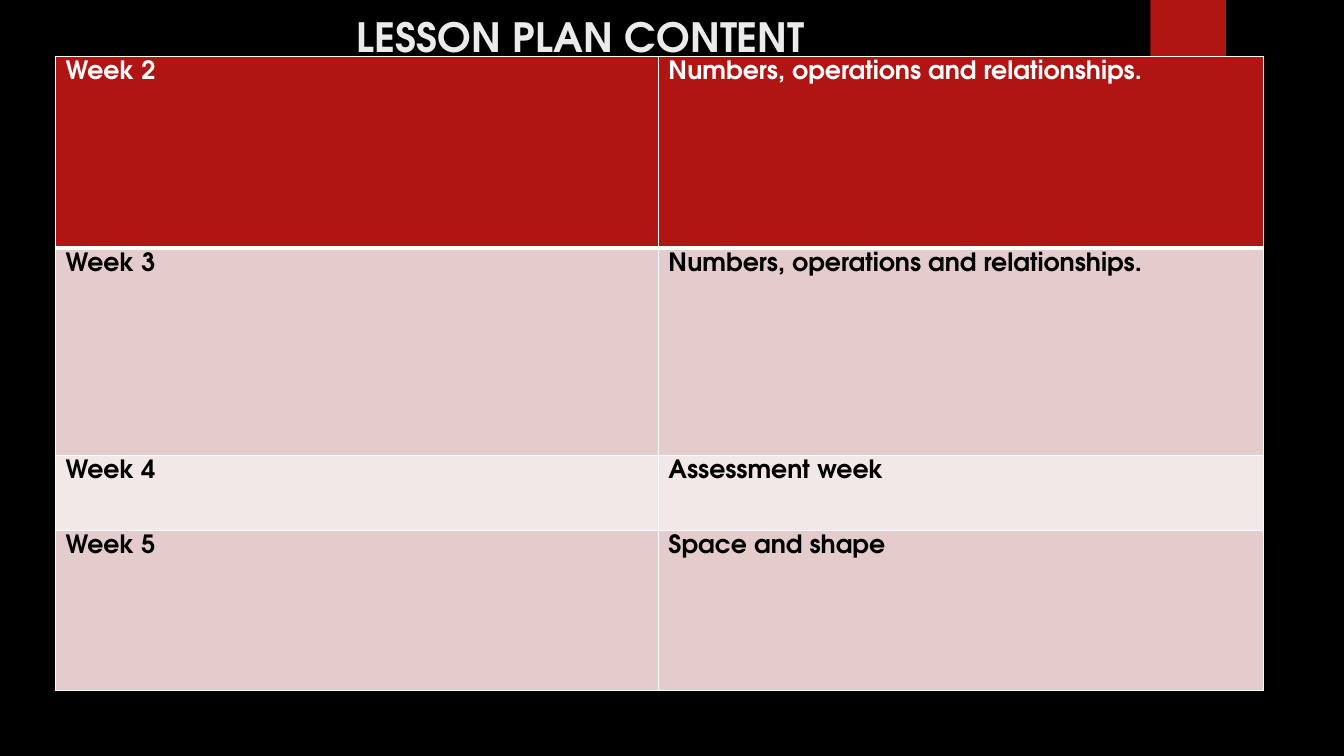
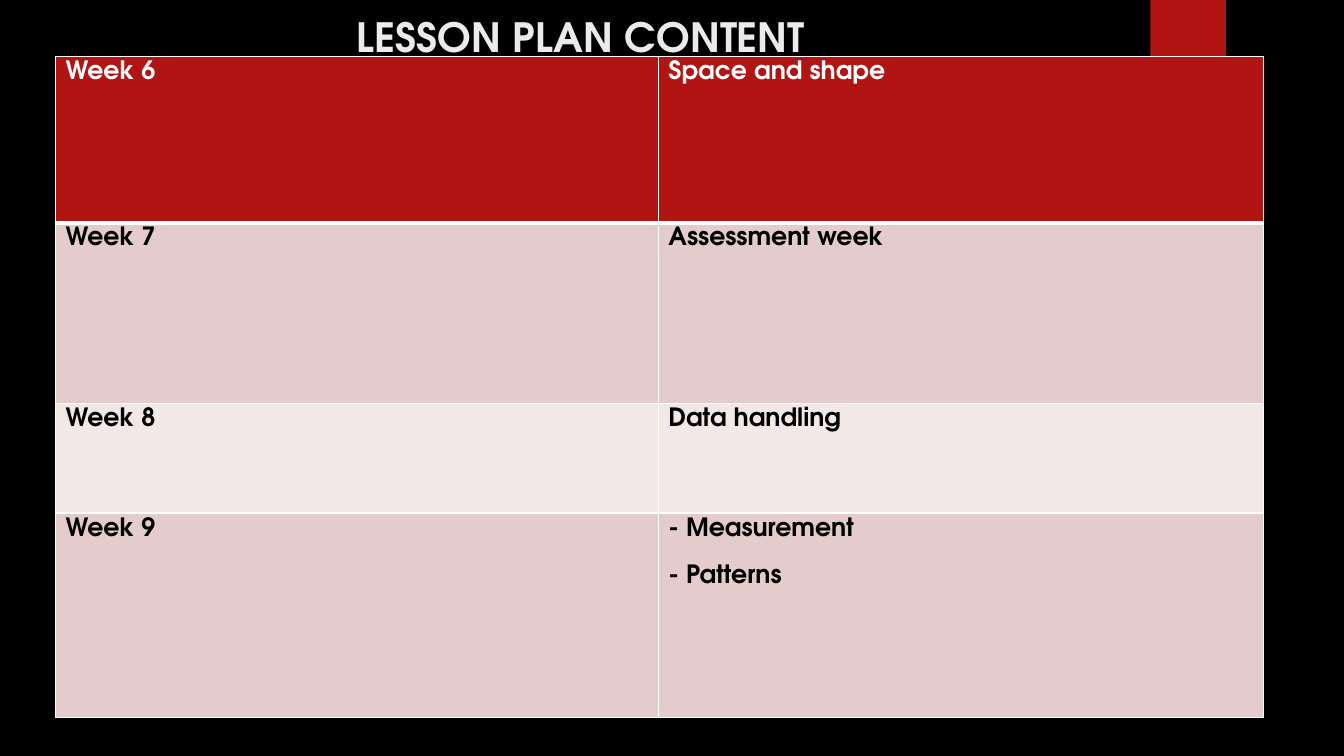
from pptx import Presentation
from pptx.dml.color import RGBColor
from pptx.enum.shapes import MSO_SHAPE
from pptx.enum.text import MSO_ANCHOR, MSO_AUTO_SIZE, PP_ALIGN
from pptx.oxml import parse_xml
from pptx.oxml.ns import nsdecls
from pptx.util import Inches, Pt

COLORS = {
    "background": "000000",
    "accent": "B01513",
    "title": "EBEBEB",
    "header_text": "FFFFFF",
    "body_text": "000000",
    "border": "FFFFFF",
    "band_dark": "E4CCCC",
    "band_light": "F2E8E7",
}
FONT = "TeX Gyre Adventor"
TITLE = "LESSON PLAN CONTENT"
COLUMN_WIDTHS = (5.98, 6)
NUMBERS = "Numbers, operations and relationships."
PLANS = [
    [
        (1.9, "Week 2", NUMBERS),
        (2.06, "Week 3", NUMBERS),
        (0.74, "Week 4", "Assessment week"),
        (1.59, "Week 5", "Space and shape"),
    ],
    [
        (1.65, "Week 6", "Space and shape"),
        (1.79, "Week 7", "Assessment week"),
        (1.09, "Week 8", "Data handling"),
        (2.03, "Week 9", "- Measurement\n- Patterns"),
    ],
]


def color(name):
    """Return the named colour."""
    return RGBColor.from_string(COLORS[name])


def set_font(paragraph, size, color_name):
    """Apply the bold deck font to a paragraph."""
    font = paragraph.font
    font.name, font.size, font.bold = FONT, Pt(size), True
    font.color.rgb = color(color_name)


def add_title(slide):
    """Place and format the title placeholder."""
    title = slide.shapes.title
    title.left, title.top = Inches(0.71), Inches(-0.28)
    title.width, title.height = Inches(10.29), Inches(0.92)
    frame = title.text_frame
    frame.text = TITLE
    frame.auto_size = MSO_AUTO_SIZE.NONE
    frame.vertical_anchor = MSO_ANCHOR.BOTTOM
    frame.margin_left = Inches(2.83)
    frame.margin_top, frame.margin_bottom = 0, Inches(0.04)
    paragraph = frame.paragraphs[0]
    paragraph.alignment = PP_ALIGN.LEFT
    set_font(paragraph, 28.8, "title")


def add_tab(slide):
    """Draw the red tab hanging from the top edge."""
    tab = slide.shapes.add_shape(
        MSO_SHAPE.RECTANGLE, Inches(11.41), 0, Inches(0.75), Inches(1.25))
    tab.shadow.inherit = False
    tab.fill.solid()
    tab.fill.fore_color.rgb = color("accent")
    tab.line.fill.background()


def set_border(cell, side, points):
    """Add a solid border to one side of a cell."""
    cell._tc.get_or_add_tcPr().append(parse_xml(
        f'<a:ln{side} {nsdecls("a")} w="{Pt(points)}"><a:solidFill>'
        f'<a:srgbClr val="{COLORS["border"]}"/></a:solidFill></a:ln{side}>'))


def fill_cell(cell, text, row_index):
    """Write and format a cell according to its row."""
    is_header = row_index == 0
    for side in "LRTB":
        is_thick = (is_header and side == "B") or (row_index == 1 and side == "T")
        set_border(cell, side, 3 if is_thick else 1)
    band = "band_dark" if row_index % 2 else "band_light"
    cell.fill.solid()
    cell.fill.fore_color.rgb = color("accent" if is_header else band)
    cell.margin_top, cell.margin_bottom = Inches(0.04), 0
    cell.text = text
    for index, paragraph in enumerate(cell.text_frame.paragraphs):
        paragraph.line_spacing = Pt(17)
        paragraph.space_before = Pt(17 if index else 0)
        set_font(paragraph, 18, "header_text" if is_header else "body_text")


def add_plan_table(slide, plan):
    """Add the table of weeks and topics."""
    height = sum(row[0] for row in plan)
    table = slide.shapes.add_table(
        len(plan), len(COLUMN_WIDTHS), Inches(0.55), Inches(0.56),
        Inches(sum(COLUMN_WIDTHS)), Inches(height)).table
    for column, width in zip(table.columns, COLUMN_WIDTHS):
        column.width = Inches(width)
    for row_index, (row_height, *texts) in enumerate(plan):
        table.rows[row_index].height = Inches(row_height)
        for column_index, text in enumerate(texts):
            fill_cell(table.cell(row_index, column_index), text, row_index)


def main():
    """Build and save the presentation."""
    presentation = Presentation()
    presentation.slide_width = Inches(13.33)
    presentation.slide_height = Inches(7.5)
    background = presentation.slide_master.background.fill
    background.solid()
    background.fore_color.rgb = color("background")
    for plan in PLANS:
        slide = presentation.slides.add_slide(presentation.slide_layouts[5])
        add_tab(slide)
        add_title(slide)
        add_plan_table(slide, plan)
    presentation.save("out.pptx")


if __name__ == "__main__":
    main()
